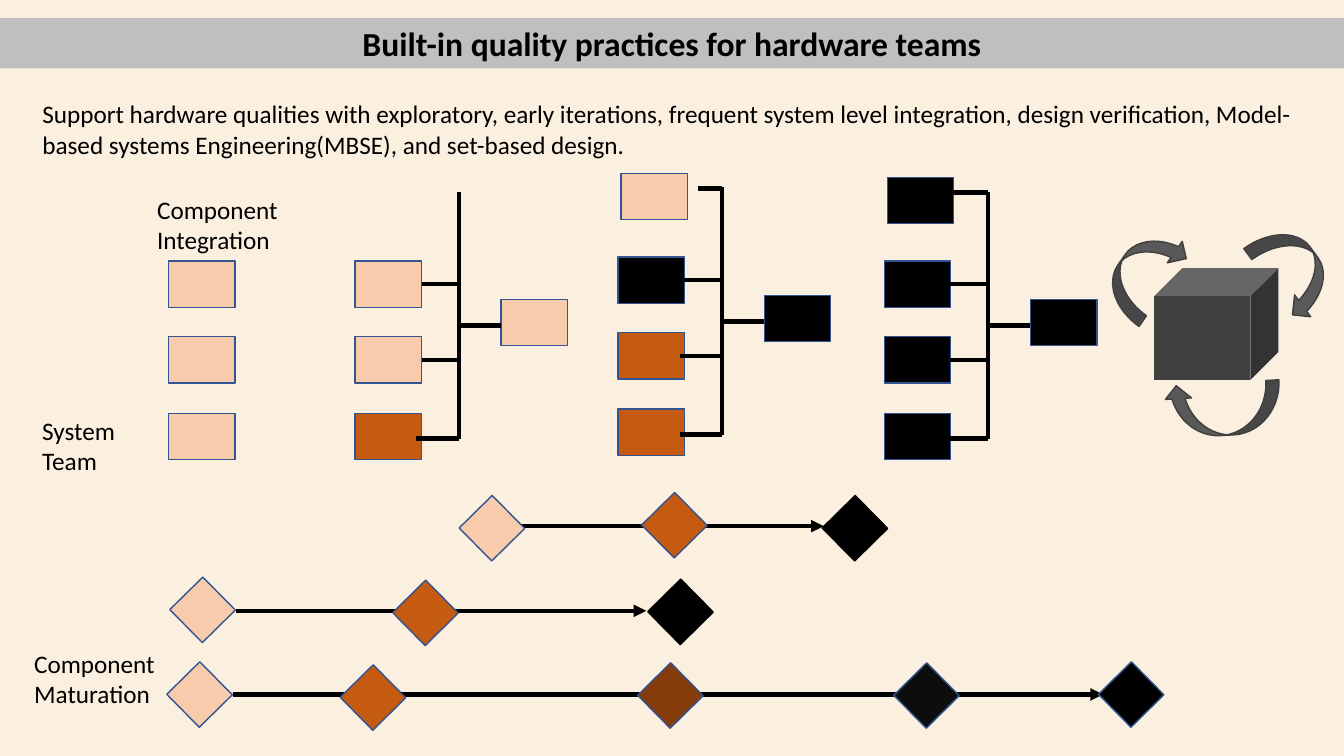
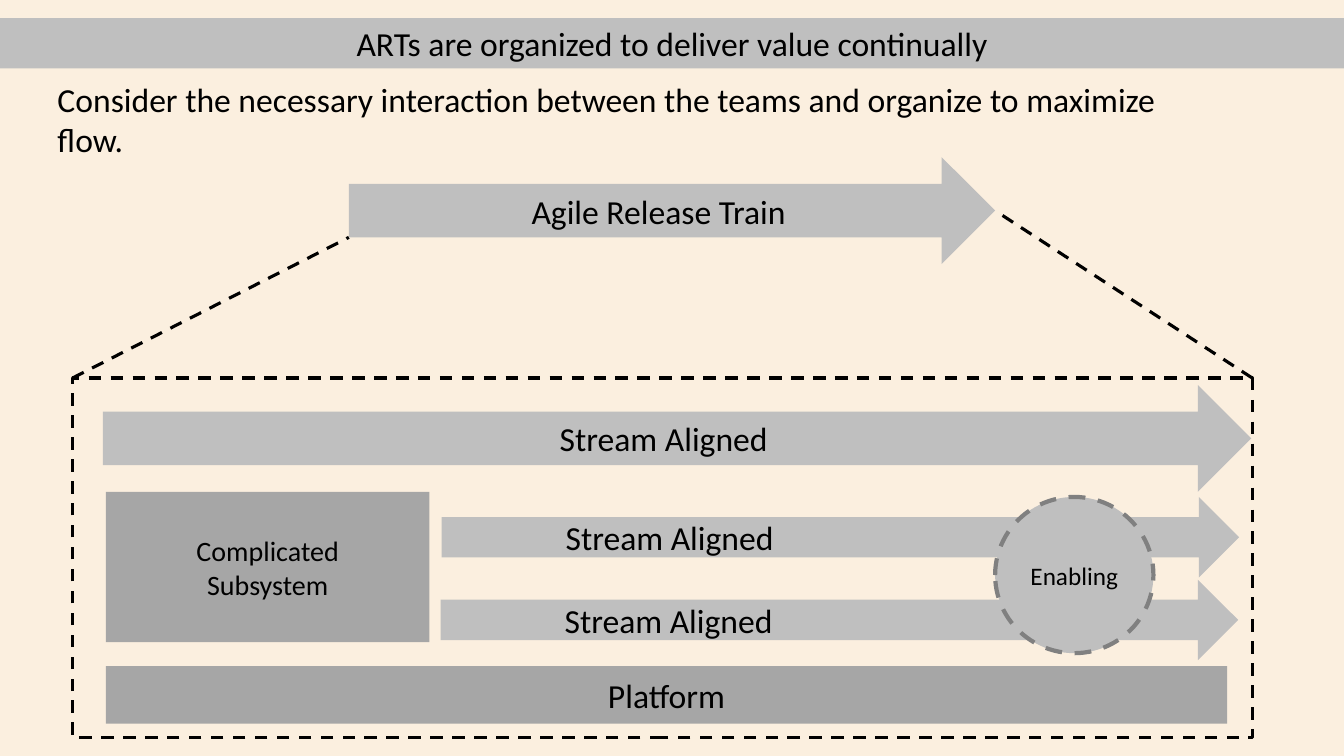
from lxml.etree import SubElement
from pptx import Presentation
from pptx.dml.color import RGBColor
from pptx.enum.dml import MSO_LINE
from pptx.enum.shapes import MSO_CONNECTOR, MSO_SHAPE as Shape
from pptx.enum.text import MSO_ANCHOR as Anchor, MSO_AUTO_SIZE, PP_ALIGN as Align
from pptx.oxml.ns import qn
from pptx.util import Inches, Pt

CREAM = RGBColor(0xFB, 0xEF, 0xDF)
SILVER = RGBColor(0xBF, 0xBF, 0xBF)
GREY = RGBColor(0xA6, 0xA6, 0xA6)
MID_GREY = RGBColor(0x80, 0x80, 0x80)
SLATE = RGBColor(0x59, 0x59, 0x59)
CHARCOAL = RGBColor(0x40, 0x40, 0x40)
BLACK = RGBColor(0, 0, 0)
NEAR_BLACK = RGBColor(0x0D, 0x0D, 0x0D)
PEACH = RGBColor(0xF8, 0xCB, 0xAD)
ORANGE = RGBColor(0xC5, 0x5A, 0x11)
BROWN = RGBColor(0x84, 0x3C, 0x0B)
BLUE = RGBColor(0x32, 0x54, 0x91)

FONT = "Calibri"
SLIDE_WIDTH, SLIDE_HEIGHT = 13.33, 7.5
TITLE_BAND = (0, 0.18, SLIDE_WIDTH, 0.5)

# Hardware quality slide
HARDWARE_TITLE = "Built-in quality practices for hardware teams"
HARDWARE_INTRO = (
    "Support hardware qualities with exploratory, early iterations, frequent system "
    "level integration, design verification, Model-based systems Engineering(MBSE), "
    "and set-based design.")
HARDWARE_LABELS = [
    (("System", "Team"), (0.32, 4.07, 1.15, 0.71)),
    (("Component", "Integration"), (1.46, 1.88, 1.69, 0.71)),
    (("Component", "Maturation"), (0.24, 6.38, 1.69, 0.71)),
]
BOX_WIDTH, BOX_HEIGHT = 0.66, 0.46
BOX_ROWS = (0, 0.75, 1.51)
STUB_ROWS = (0.23, 0.98, 1.76)
START_COLUMN = (1.67, 2.59, (PEACH, PEACH, PEACH))
# left, top, component fills, result fill, top box fill, start of top stub
STACKS = [
    (3.52, 2.59, (PEACH, PEACH, ORANGE), PEACH, None, None),
    (6.13, 2.55, (BLACK, ORANGE, ORANGE), BLACK, PEACH, 0.79),
    (8.77, 2.59, (BLACK, BLACK, BLACK), BLACK, BLACK, 0.62),
]
SPINE, RESULT = 1.03, 1.45

DIAMOND = 0.46
# arrow row, arrow start and end, diamonds as (left, top, fill, outline)
MATURATION = [
    (5.22, 4.62, 8.17, [(4.65, 5.01, PEACH, BLUE), (6.46, 4.98, ORANGE, BLUE),
                        (8.25, 5.01, BLACK, BLACK)]),
    (6.06, 2.34, 6.41, [(1.78, 5.82, PEACH, BLUE), (3.99, 5.85, ORANGE, BLUE),
                        (6.52, 5.84, BLACK, BLACK)]),
    (6.89, 2.31, 10.94, [(1.75, 6.66, PEACH, BLUE), (3.47, 6.69, ORANGE, BLUE),
                         (6.42, 6.67, BROWN, BLUE), (8.96, 6.67, NEAR_BLACK, BLUE),
                         (10.99, 6.66, BLACK, BLUE)]),
]
CYCLE_ARROWS = [
    ((12.36, 2.42, 0.95, 0.54), 53.7),
    ((11.55, 3.8, 1.15, 0.52), 176.7),
    ((10.88, 2.44, 0.95, 0.52), 304.8),
]
CUBE = (11.45, 2.66, 1.23, 1.11)

# Release train slide
TRAIN_TITLE = "ARTs are organized to deliver value continually"
TRAIN_INTRO = ("Consider the necessary interaction between the teams and organize "
               "to maximize flow.")
FRAME = (0.72, 3.75, 11.7, 3.57)
TRAIN = (3.46, 1.56, 6.41, 1.06)
STREAM_INDENT = 1.23
# preset, place, fill, text lines, text size, left indent
TEAMS = [
    (Shape.RIGHT_ARROW, TRAIN, SILVER, ["Agile Release Train"], 24, None),
    (Shape.RIGHT_ARROW, (1.02, 3.82, 11.39, 1.06), SILVER, ["Stream Aligned"], 24, None),
    (Shape.RIGHT_ARROW, (4.37, 5.75, 7.91, 0.8), SILVER, ["Stream Aligned"], 24,
     STREAM_INDENT),
    (Shape.RIGHT_ARROW, (4.38, 4.93, 7.91, 0.8), SILVER, ["Stream Aligned"], 24,
     STREAM_INDENT),
    (Shape.RECTANGLE, (1.05, 4.88, 3.21, 1.49), GREY, ["Complicated", "Subsystem"], 20,
     None),
    (Shape.RECTANGLE, (1.05, 6.61, 11.12, 0.57), GREY, ["Platform"], 24, None),
]
ENABLING = (9.87, 4.93, 1.57, 1.55)


def place_shape(shape, place):
    """Move a shape to left, top, width and height in inches."""
    for name, value in zip(("left", "top", "width", "height"), place):
        setattr(shape, name, Inches(value))


def write_text(shape, lines, size, align=Align.LEFT, anchor=Anchor.TOP, bold=False):
    """Write one formatted paragraph per line."""
    frame = shape.text_frame
    frame.text = "\n".join(lines)
    frame_format = {"word_wrap": True, "auto_size": MSO_AUTO_SIZE.NONE,
                    "vertical_anchor": anchor}
    for name, value in frame_format.items():
        setattr(frame, name, value)
    for paragraph in frame.paragraphs:
        paragraph.alignment = align
        paragraph.space_before = Pt(0)
        for name, value in {"name": FONT, "size": Pt(size), "bold": bold}.items():
            setattr(paragraph.font, name, value)
        paragraph.font.color.rgb = BLACK


def style_line(line, color, width, dash=None):
    """Set colour, width and dash of an outline or connector."""
    line.color.rgb = color
    line.width = Pt(width)
    if dash:
        line.dash_style = dash


def add_shape(slide, preset, place, fill=None, outline=None, rotation=0):
    """Add a flat preset shape; outline holds colour, width and dash."""
    shape = slide.shapes.add_shape(preset, *map(Inches, place))
    shape.shadow.inherit = False
    shape.rotation = rotation
    if fill is None:
        shape.fill.background()
    else:
        shape.fill.solid()
        shape.fill.fore_color.rgb = fill
    if outline is None:
        shape.line.fill.background()
    else:
        style_line(shape.line, *outline)
    return shape


def add_line(slide, start, end, width=3, dash=None, arrow=False):
    """Add a black straight line, with an arrowhead at its end if asked."""
    connector = slide.shapes.add_connector(
        MSO_CONNECTOR.STRAIGHT, *map(Inches, (*start, *end)))
    style_line(connector.line, BLACK, width, dash)
    properties = connector.element.spPr
    if arrow:
        SubElement(properties.find(qn("a:ln")), qn("a:tailEnd"), type="triangle")
    SubElement(properties, qn("a:effectLst"))


def add_slide(presentation, title, intro, intro_place, intro_size, bold):
    """Add a slide with its title band and introduction."""
    slide = presentation.slides.add_slide(presentation.slide_layouts[1])
    band, body = slide.shapes.title, slide.placeholders[1]
    place_shape(band, TITLE_BAND)
    band.fill.solid()
    band.fill.fore_color.rgb = SILVER
    write_text(band, [title], 24, Align.CENTER, Anchor.MIDDLE, bold)
    place_shape(body, intro_place)
    write_text(body, [intro], intro_size)
    properties = body.text_frame.paragraphs[0]._p.get_or_add_pPr()
    properties.set("marL", "0")
    properties.set("indent", "0")
    SubElement(properties, qn("a:buNone"))
    # Schema order puts bullets ahead of default run properties
    default_run = properties.find(qn("a:defRPr"))
    if default_run is not None:
        properties.append(default_run)
    return slide


def add_box(slide, left, top, fill):
    """Add one component box."""
    add_shape(slide, Shape.RECTANGLE, (left, top, BOX_WIDTH, BOX_HEIGHT), fill, (BLUE, 1))


def add_column(slide, left, top, fills):
    """Add a column of component boxes."""
    for row, fill in zip(BOX_ROWS, fills):
        add_box(slide, left, top + row, fill)


def add_stack(slide, left, top, fills, result, top_fill, top_stub):
    """Add components joined by a spine to their integrated result."""
    spine, spine_top = left + SPINE, top - 0.69
    add_column(slide, left, top, fills)
    add_box(slide, left + RESULT, top + 0.38, result)
    add_line(slide, (spine, spine_top), (spine, top + 1.77))
    add_line(slide, (spine, top + 0.64), (left + RESULT, top + 0.64))
    for row, fill in zip(STUB_ROWS, fills):
        start = left + (0.67 if fill == PEACH else 0.61)
        add_line(slide, (start, top + row), (spine, top + row))
    if top_fill is not None:
        add_box(slide, left + 0.03, top - 0.83, top_fill)
        add_line(slide, (left + top_stub, spine_top + 0.01), (spine, spine_top + 0.01))


def build_hardware(presentation):
    """Build the hardware quality slide."""
    slide = add_slide(presentation, HARDWARE_TITLE, HARDWARE_INTRO,
                      (0.32, 0.93, 13.01, 0.71), 18, True)
    add_column(slide, *START_COLUMN)
    for stack in STACKS:
        add_stack(slide, *stack)
    for row, start, end, diamonds in MATURATION:
        add_line(slide, (start, row), (end, row), arrow=True)
        for left, top, fill, outline in diamonds:
            add_shape(slide, Shape.RECTANGLE, (left, top, DIAMOND, DIAMOND),
                      fill, (outline, 1), 315.4)
    for place, rotation in CYCLE_ARROWS:
        add_shape(slide, Shape.CURVED_DOWN_ARROW, place, SLATE, (CHARCOAL, 1), rotation)
    for lines, place in HARDWARE_LABELS:
        write_text(slide.shapes.add_textbox(*map(Inches, place)), lines, 18)
    add_shape(slide, Shape.CUBE, CUBE, CHARCOAL)


def build_train(presentation):
    """Build the release train slide."""
    slide = add_slide(presentation, TRAIN_TITLE, TRAIN_INTRO,
                      (0.47, 0.73, 11.7, 0.91), 24, False)
    dashed = (2.25, MSO_LINE.DASH)
    left, top, width, _ = FRAME
    train_left, train_top, train_width, train_height = TRAIN
    add_shape(slide, Shape.RECTANGLE, FRAME, outline=(BLACK, *dashed))
    add_line(slide, (left, top), (train_left, train_top + train_height * 0.75), *dashed)
    add_line(slide, (left + width, top),
             (train_left + train_width, train_top + train_height / 2), *dashed)
    for preset, place, fill, lines, size, indent in TEAMS:
        team = add_shape(slide, preset, place, fill)
        write_text(team, lines, size, Align.LEFT if indent else Align.CENTER, Anchor.MIDDLE)
        if indent:
            team.text_frame.margin_left = Inches(indent)
    enabling = add_shape(slide, Shape.OVAL, ENABLING, SILVER, (MID_GREY, 3, MSO_LINE.DASH))
    write_text(enabling, ["Enabling"], 18, Align.CENTER, Anchor.MIDDLE)


presentation = Presentation()
presentation.slide_width = Inches(SLIDE_WIDTH)
presentation.slide_height = Inches(SLIDE_HEIGHT)
background = presentation.slide_master.background.fill
background.solid()
background.fore_color.rgb = CREAM
build_hardware(presentation)
build_train(presentation)
presentation.save("out.pptx")
